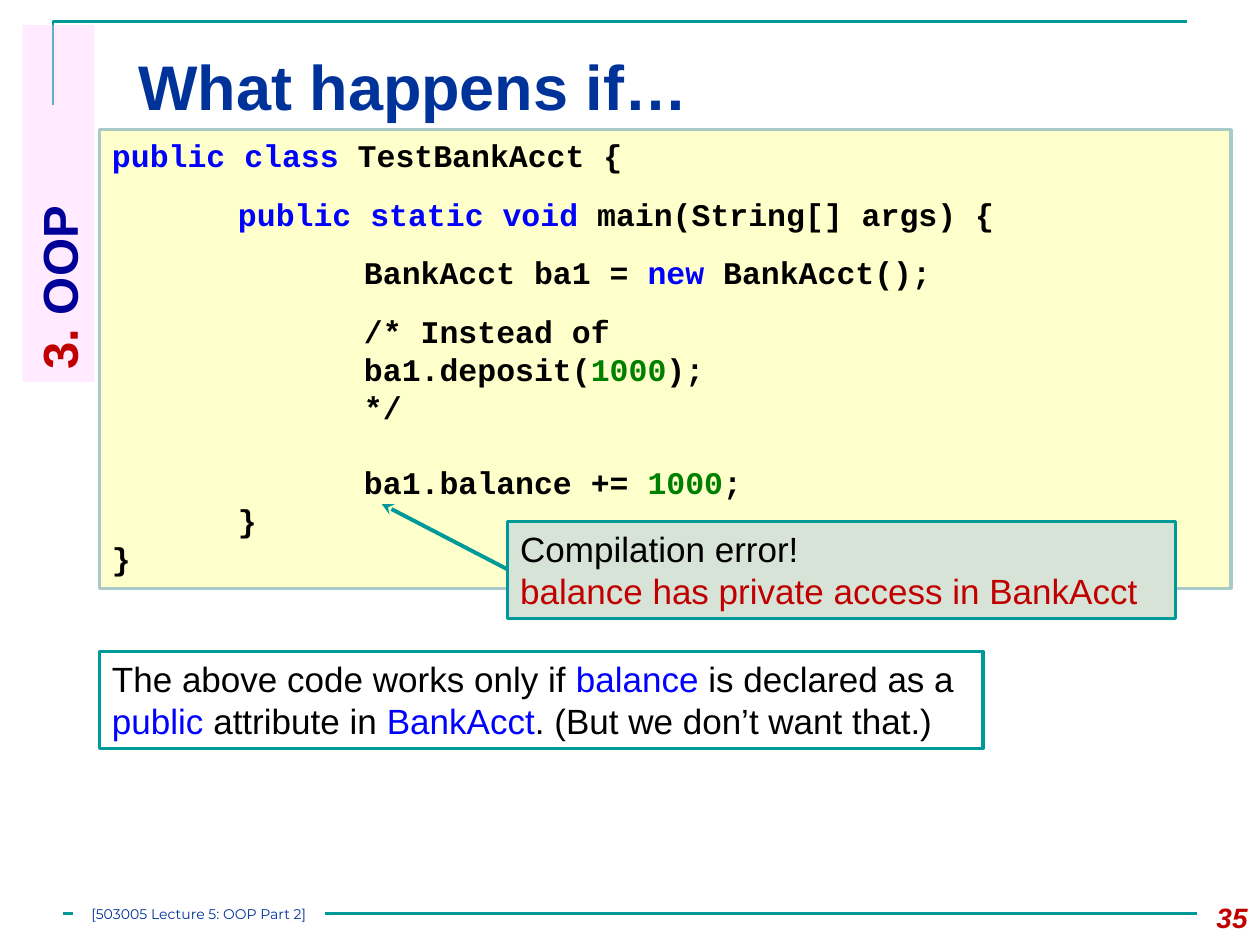
from dataclasses import dataclass

from lxml import etree
from pptx import Presentation
from pptx.dml.color import RGBColor
from pptx.enum import shapes, text
from pptx.oxml.ns import qn
from pptx.util import Inches, Pt


@dataclass(frozen=True)
class Theme:
    """Colours, fonts and type sizes of the slide."""
    teal: str = "009999"
    navy: str = "003399"
    indigo: str = "000099"
    red: str = "C00000"
    blue: str = "0000FF"
    green: str = "008000"
    black: str = "000000"
    white: str = "FFFFFF"
    pink: str = "FFCCFF"
    cream: str = "FFFFCC"
    code_edge: str = "AACACA"
    sage: str = "D8E3D8"
    sans: str = "Arial"
    mono: str = "Courier New"
    foot: str = "Montserrat"
    title_size: int = 36
    section_size: int = 28
    body_size: int = 20
    code_size: int = 18
    number_size: int = 16
    foot_size: int = 8


T = Theme()
TITLE = [(0, 0, [("What happens if…", T.navy)])]
SECTION = [(0, 0, [("3.", T.red), (" OOP", T.indigo)])]
NUMBER = [(0, 0, [("35", T.red)])]
FOOTER = [(0, 0, [("[503005 Lecture 5: OOP Part 2]", T.navy)])]
CODE = [
    (0, 0, [("public class ", T.blue), ("TestBankAcct {", T.black)]),
    (1, 12, [("public static void ", T.blue), ("main(String[] args) {", T.black)]),
    (2, 12, [("BankAcct ba1 = ", T.black), ("new", T.blue), (" BankAcct();", T.black)]),
    (2, 12, [("/* Instead of", T.black)]),
    (2, 0, [("ba1.deposit(", T.black), ("1000", T.green), (");", T.black)]),
    (2, 0, [("*/", T.black)]),
    (2, 21.6, [("ba1.balance += ", T.black), ("1000", T.green), (";", T.black)]),
    (1, 0, [("}", T.black)]),
    (0, 0, [("}", T.black)]),
]
REMARK = [(0, 0, [
    ("The above code works only if ", T.black), ("balance", T.blue),
    (" is declared as a ", T.black), ("public", T.blue),
    (" attribute in ", T.black), ("BankAcct", T.blue),
    (". (But we don’t want that.)", T.black),
])]
ERROR = [
    (0, 0, [("Compilation error!", T.black)]),
    (0, 0, [("balance has private access in BankAcct", T.red)]),
]


def rgb(value):
    """Turn a hex string into a colour."""
    return RGBColor.from_string(value)


def add_text(slide, box, paragraphs, size, font=T.sans, bold=False, italic=False,
             align=text.PP_ALIGN.LEFT, anchor=text.MSO_ANCHOR.TOP, fill=None, alpha=None,
             line=None, rotation=0, inset=(0.1, 0.05), spacing=None):
    """Add a box of (indent level, space before, runs) paragraphs."""
    sp = slide.shapes.add_shape(shapes.MSO_SHAPE.RECTANGLE, *map(Inches, box))
    sp.shadow.inherit = False
    sp.rotation = rotation
    if fill:
        sp.fill.solid()
        sp.fill.fore_color.rgb = rgb(fill)
        if alpha:
            clr = sp.fill._xPr.find(".//" + qn("a:srgbClr"))
            etree.SubElement(clr, qn("a:alpha"), val=str(alpha * 1000))
    else:
        sp.fill.background()
    if line:
        sp.line.color.rgb = rgb(line)
        sp.line.width = Pt(2)
    else:
        sp.line.fill.background()
    tf = sp.text_frame
    tf.word_wrap = True
    tf.vertical_anchor = anchor
    tf.margin_left = tf.margin_right = Inches(inset[0])
    tf.margin_top = tf.margin_bottom = Inches(inset[1])
    for i, (level, before, runs) in enumerate(paragraphs):
        p = tf.add_paragraph() if i else tf.paragraphs[0]
        p.alignment = align
        p.space_before = Pt(before)
        if spacing:
            p.line_spacing = Pt(spacing)
        if level:
            p._p.get_or_add_pPr().set("marL", str(Inches(level)))
        for words, color in runs:
            r = p.add_run()
            r.text = words
            r.font.name, r.font.size = font, Pt(size)
            r.font.bold, r.font.italic = bold, italic
            r.font.color.rgb = rgb(color)
    return sp


def add_line(slide, start, end, width, arrow=False):
    """Add a straight teal line, with an arrowhead if wanted."""
    ln = slide.shapes.add_connector(shapes.MSO_CONNECTOR.STRAIGHT, *map(Inches, start + end))
    ln.line.color.rgb = rgb(T.teal)
    ln.line.width = Pt(width)
    if arrow:
        etree.SubElement(ln.line._get_or_add_ln(), qn("a:tailEnd"), type="stealth")
    etree.SubElement(ln._element.spPr, qn("a:effectLst"))


def add_corner(slide):
    """Draw the open corner rule above the title."""
    fb = slide.shapes.build_freeform(Inches(0.42), Inches(0.83))
    fb.add_line_segments([(Inches(0.42), Inches(0.17)), (Inches(9.42), Inches(0.17))], close=False)
    sp = fb.convert_to_shape()
    sp.shadow.inherit = False
    sp.fill.background()
    sp.line.color.rgb = rgb(T.teal)
    sp.line.width = Pt(1.5)


def main():
    """Build the slide and save it."""
    prs = Presentation()
    prs.slide_width, prs.slide_height = Inches(10), Inches(7.5)
    slide = prs.slides.add_slide(prs.slide_layouts[6])
    middle = text.MSO_ANCHOR.MIDDLE
    add_corner(slide)
    add_line(slide, (0.5, 7.25), (9.5, 7.25), 1.5)
    add_text(slide, (1, 0.25, 8.5, 0.86), TITLE, T.title_size, bold=True, anchor=middle)
    add_text(slide, (9.33, 7.1, 0.67, 0.4), NUMBER, T.number_size, bold=True, italic=True,
             align=text.PP_ALIGN.RIGHT)
    add_text(slide, (-0.95, 1.33, 2.83, 0.57), SECTION, T.section_size, bold=True,
             fill=T.pink, alpha=40, rotation=270)
    add_text(slide, (0.79, 1.03, 8.98, 3.64), CODE, T.code_size, font=T.mono, bold=True,
             fill=T.cream, line=T.code_edge, spacing=21.6)
    add_text(slide, (0.79, 5.17, 7.01, 0.77), REMARK, T.body_size, fill=T.white, line=T.teal)
    add_text(slide, (4.03, 4.14, 5.3, 0.77), ERROR, T.body_size, fill=T.sage, line=T.teal)
    add_line(slide, (4.03, 4.52), (3.03, 4), 2.25, arrow=True)
    add_text(slide, (0.58, 7.17, 2, 0.17), FOOTER, T.foot_size, font=T.foot, fill=T.white,
             align=text.PP_ALIGN.CENTER, anchor=middle, inset=(0, 0))
    prs.save("out.pptx")


if __name__ == "__main__":
    main()
